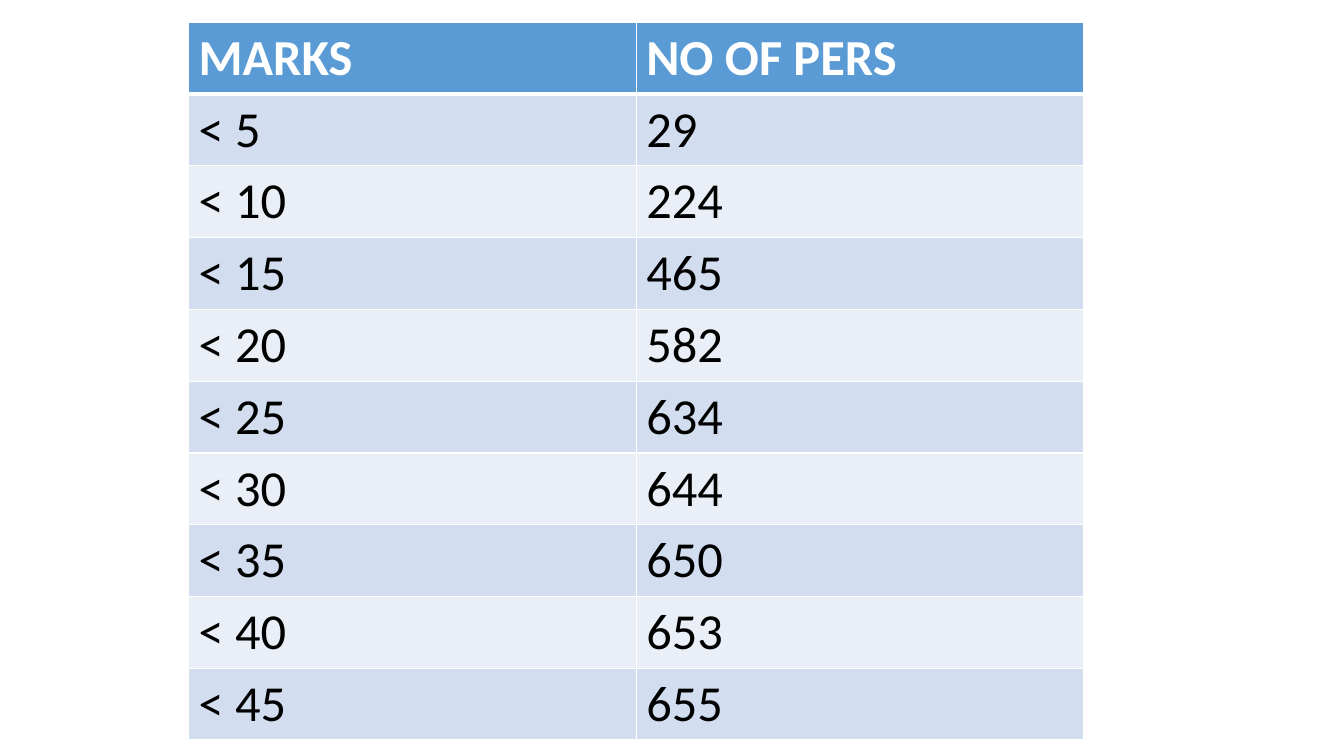
import pptx
import pptx.dml.color
import pptx.oxml
import pptx.oxml.ns
import pptx.util
from pptx.dml.color import RGBColor
from pptx.util import Inches

# Content
HEADINGS = ("MARKS", "NO OF PERS")
COUNTS = [
    ("˂ 5", "29"),
    ("˂ 10", "224"),
    ("˂ 15", "465"),
    ("˂ 20", "582"),
    ("˂ 25", "634"),
    ("˂ 30", "644"),
    ("˂ 35", "650"),
    ("˂ 40", "653"),
    ("˂ 45", "655"),
]

# Format
FONT = "Calibri"
WHITE = RGBColor(0xFF, 0xFF, 0xFF)
BLACK = RGBColor(0x00, 0x00, 0x00)
HEADER_BLUE = RGBColor(0x5B, 0x9B, 0xD5)
BANDS = (RGBColor(0xD2, 0xDE, 0xEF), RGBColor(0xEA, 0xEF, 0xF7))
LEFT, TOP = Inches(1.87), Inches(0.22)
COLUMN_WIDTH, ROW_HEIGHT = Inches(4.44), Inches(0.71)


def write_text(cell, text, size=36, color=BLACK, bold=False):
    run = cell.text_frame.paragraphs[0].add_run()
    run.text = text
    run.font.name = FONT
    run.font.size = pptx.util.Pt(size)
    run.font.bold = bold
    run.font.color.rgb = color


def set_borders(cell, color, bottom):
    """Draw thin borders, with the bottom width given in points."""
    properties = cell._tc.get_or_add_tcPr()
    widths = {"lnL": 1, "lnR": 1, "lnT": 1, "lnB": bottom}
    for position, (side, width) in enumerate(widths.items()):
        line = pptx.oxml.parse_xml(
            f'<a:{side} {pptx.oxml.ns.nsdecls("a")} w="{pptx.util.Pt(width)}">'
            f'<a:solidFill><a:srgbClr val="{color}"/></a:solidFill></a:{side}>'
        )
        properties.insert(position, line)


def main():
    presentation = pptx.Presentation()
    presentation.slide_width = Inches(13.33)
    presentation.slide_height = Inches(7.5)
    slide = presentation.slides.add_slide(presentation.slide_layouts[6])

    # Table grid
    rows = [HEADINGS, *COUNTS]
    table = slide.shapes.add_table(
        len(rows), len(HEADINGS), LEFT, TOP,
        COLUMN_WIDTH * len(HEADINGS), ROW_HEIGHT * len(rows),
    ).table
    for column in table.columns:
        column.width = COLUMN_WIDTH
    for row in table.rows:
        row.height = ROW_HEIGHT

    # Heading row, then alternating bands
    for row_index, texts in enumerate(rows):
        heading = row_index == 0
        for column_index, text in enumerate(texts):
            cell = table.cell(row_index, column_index)
            cell.fill.solid()
            cell.fill.fore_color.rgb = HEADER_BLUE if heading else BANDS[(row_index - 1) % 2]
            set_borders(cell, WHITE, bottom=3 if heading else 1)
            write_text(cell, text, color=WHITE if heading else BLACK, bold=heading)

    presentation.save("out.pptx")


if __name__ == "__main__":
    main()
